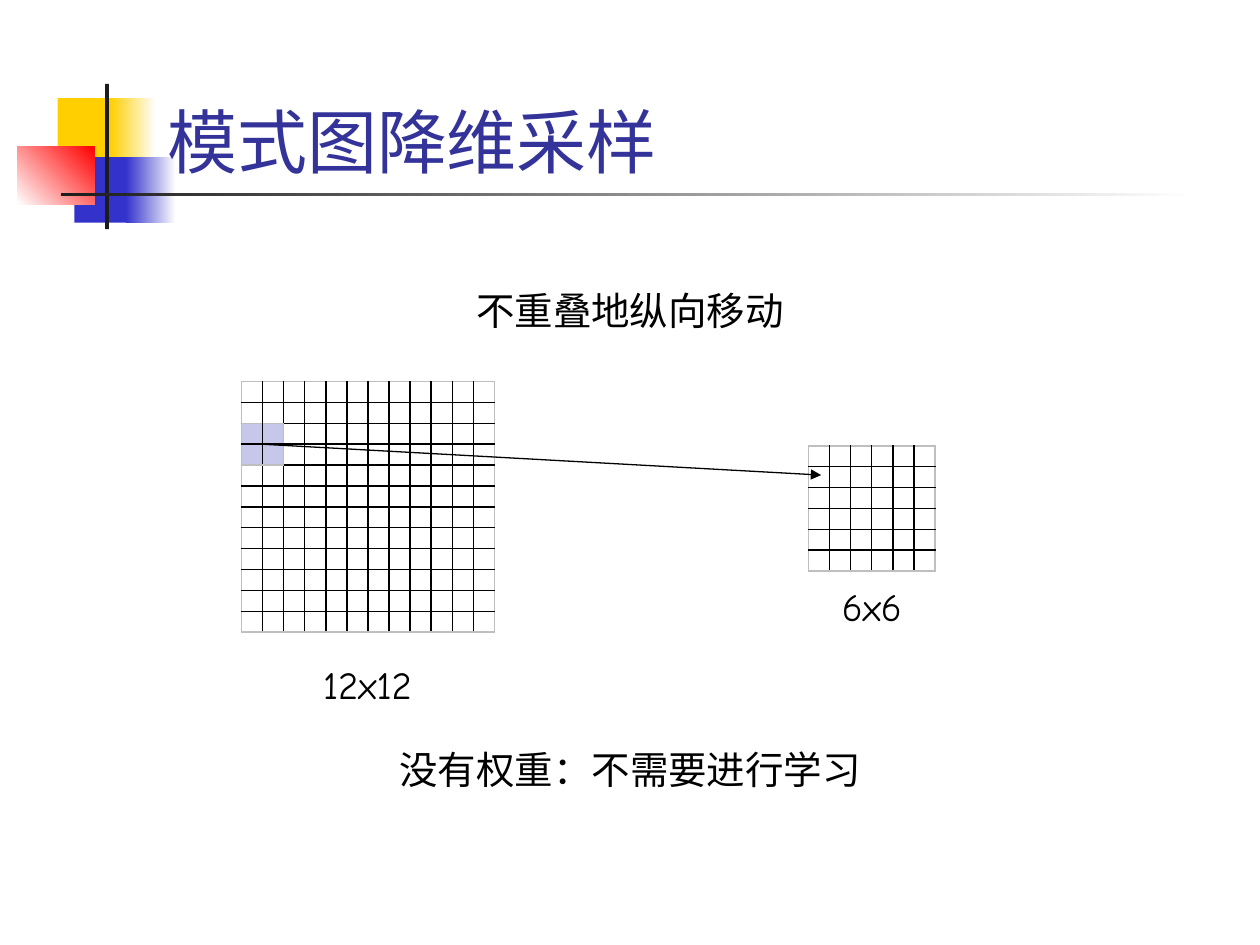
from lxml.etree import SubElement
from pptx import Presentation
from pptx.dml.color import RGBColor
from pptx.enum.shapes import MSO_CONNECTOR as Connector, MSO_SHAPE as Shape
from pptx.enum.text import MSO_ANCHOR as Anchor, MSO_AUTO_SIZE as AutoSize, PP_ALIGN as Align
from pptx.oxml.ns import qn
from pptx.util import Pt

FONT = "Comic Neue"
BLACK = RGBColor(0x00, 0x00, 0x00)
WHITE = RGBColor(0xFF, 0xFF, 0xFF)
INK = RGBColor(0x1C, 0x1C, 0x1C)
YELLOW = RGBColor(0xFF, 0xCF, 0x01)
BLUE = RGBColor(0x33, 0x33, 0xCC)
RED = RGBColor(0xFF, 0x00, 0x00)
TITLE_BLUE = RGBColor(0x33, 0x33, 0x99)
LILAC = RGBColor(0xA3, 0xA3, 0xE0)
EDGE_GRAY = RGBColor(0xBF, 0xBF, 0xBF)

CELL_WIDTH, CELL_HEIGHT = 12.05, 11.95


def add_text(page, box, text, size=22, color=BLACK, align=Align.CENTER,
             anchor=Anchor.TOP, auto_size=AutoSize.SHAPE_TO_FIT_TEXT):
    frame = page.shapes.add_textbox(*map(Pt, box)).text_frame
    frame.word_wrap = True
    frame.auto_size = auto_size
    frame.vertical_anchor = anchor
    para = frame.paragraphs[0]
    para.alignment = align
    span = para.add_run()
    span.text = text
    span.font.name = FONT
    span.font.size = Pt(size)
    span.font.color.rgb = color


def add_block(page, box, color, end_color=None, angle=0):
    """Rectangle in one colour, or fading from color to end_color."""
    block = page.shapes.add_shape(Shape.RECTANGLE, *map(Pt, box))
    block.shadow.inherit = False
    block.line.fill.background()
    if end_color is None:
        block.fill.solid()
        block.fill.fore_color.rgb = color
        return
    block.fill.gradient()
    block.fill.gradient_angle = angle
    for stop, stop_color, position in zip(block.fill.gradient_stops, (color, end_color), (0, 1)):
        stop.color.rgb = stop_color
        stop.position = position


def add_header(page, box, title):
    """Coloured blocks, crossing bars and the title."""
    left, top, width, height = box
    blocks = [
        (23, 8, 34.5, 37.5, YELLOW, None, 0),
        (53, 8, 26, 37.5, YELLOW, WHITE, 0),
        (32.5, 41.75, 33, 37.5, BLUE, None, 0),
        (62, 41.75, 28.5, 37.5, BLUE, WHITE, 0),
        (0, 35.5, 44, 33.5, WHITE, RED, 45),
        (50, 0, 2.25, 83, INK, None, 0),
        (24.75, 62, 648, 2.25, INK, WHITE, 0),
    ]
    for x, y, block_width, block_height, color, end_color, angle in blocks:
        add_block(page, (left + x, top + y, block_width, block_height), color, end_color, angle)
    add_text(page, (left + 78.5, top - 12, width - 78.5, height - 11), title, size=40,
             color=TITLE_BLUE, align=Align.LEFT, anchor=Anchor.BOTTOM, auto_size=AutoSize.NONE)


def add_border(cell, side, color):
    line = SubElement(cell._tc.get_or_add_tcPr(), qn(f"a:ln{side}"), w=str(Pt(1)))
    SubElement(SubElement(line, qn("a:solidFill")), qn("a:srgbClr"), val=str(color))


def add_grid(page, left, top, count, color):
    """Square grid of empty cells: black inside lines, gray outer edge."""
    table = page.shapes.add_table(count, count, Pt(left), Pt(top), Pt(count * CELL_WIDTH),
                                  Pt(count * CELL_HEIGHT)).table
    table.first_row = table.horz_banding = False
    for column in table.columns:
        column.width = Pt(CELL_WIDTH)
    last = count - 1
    for r, row in enumerate(table.rows):
        row.height = Pt(CELL_HEIGHT)
        for c, cell in enumerate(row.cells):
            cell.margin_left = cell.margin_right = cell.margin_top = cell.margin_bottom = 0
            outer = {"L": c == 0, "R": c == last, "T": r == 0, "B": r == last}
            for side, on_edge in outer.items():
                add_border(cell, side, EDGE_GRAY if on_edge else BLACK)
            cell.fill.solid()
            cell.fill.fore_color.rgb = color
            swatch = cell._tc.tcPr.find(qn("a:solidFill"))[0]
            SubElement(swatch, qn("a:alpha"), val="60000")
            # Small empty text keeps the row at its set height
            cell.text_frame.paragraphs[0]._p.get_or_add_endParaRPr().set("sz", "400")


def add_arrow(page, start, end):
    arrow = page.shapes.add_connector(Connector.STRAIGHT, *map(Pt, start + end))
    arrow.line.color.rgb = BLACK
    arrow.line.width = Pt(0.75)
    SubElement(arrow.line._get_or_add_ln(), qn("a:tailEnd"), type="triangle")
    SubElement(arrow._element.spPr, qn("a:effectLst"))


def add_sampling(page, box):
    """A 12x12 grid whose 2x2 window maps to one cell of a 6x6 grid."""
    left, top, width, height = box
    small_left, small_top = left + 324, top + 36.75
    window_top = top + 2 * CELL_HEIGHT
    add_grid(page, left, top, 12, WHITE)
    add_text(page, (left + 26.5, top + 156.25, 91, 34), "12x12")
    add_grid(page, left, window_top, 2, LILAC)
    add_grid(page, small_left, small_top, 6, WHITE)
    add_arrow(page, (left + CELL_WIDTH, window_top + CELL_HEIGHT),
              (small_left + 7.25, small_top + 1.4 * CELL_HEIGHT))
    add_text(page, (small_left - 9.25, small_top + 75, 91, 34), "6x6")
    # Notes above and below the grids
    middle = left + width / 2
    add_text(page, (middle - 234, top - 57.5, 468, 34), "不重叠地纵向移动")
    add_text(page, (middle - 283.5, top + height, 567, 34), "没有权重：不需要进行学习")


def main():
    deck = Presentation()
    deck.slide_width, deck.slide_height = Pt(720), Pt(540)
    page = deck.slides.add_slide(deck.slide_layouts[6])
    add_header(page, (10, 48, 692, 83), "模式图降维采样")
    add_sampling(page, (138, 218, 444, 204.5))
    deck.save("out.pptx")


if __name__ == "__main__":
    main()
